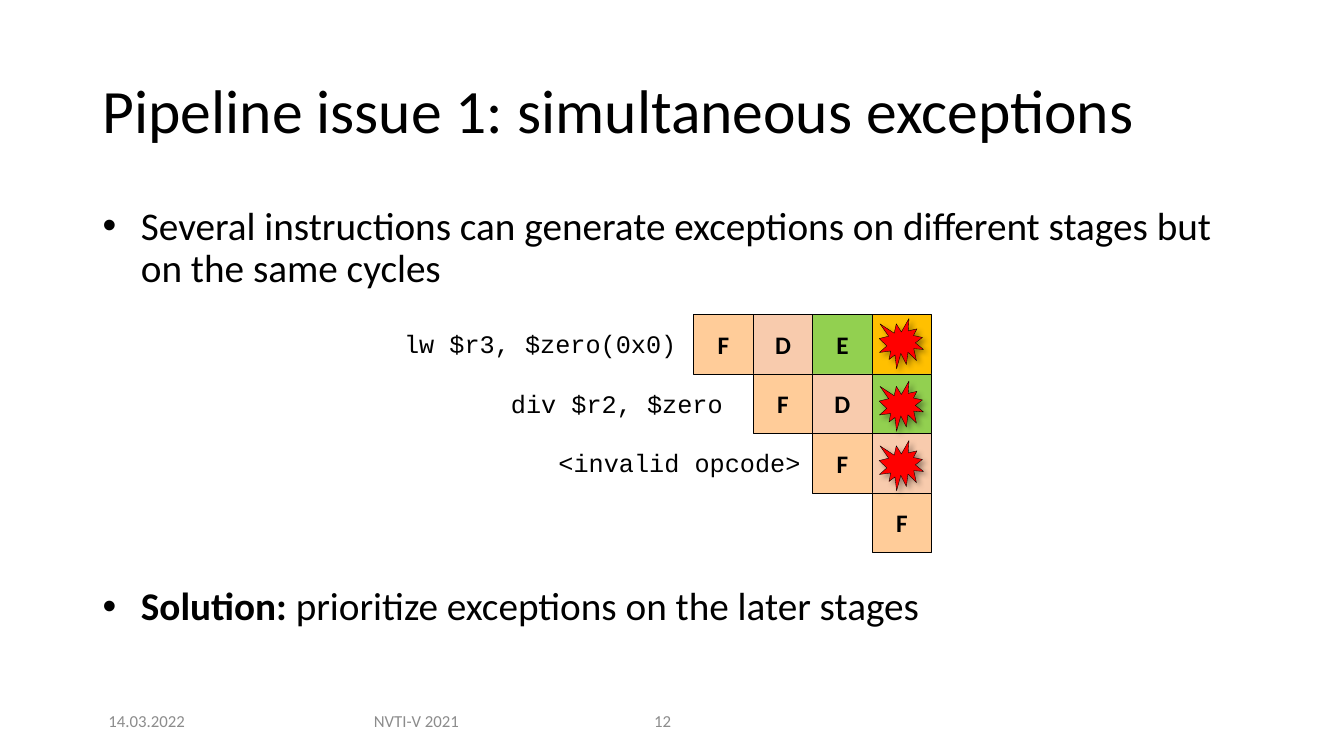
from lxml.etree import SubElement
from pptx import Presentation
from pptx.dml.color import RGBColor
from pptx.enum.shapes import MSO_SHAPE as Shape
from pptx.enum.text import MSO_ANCHOR as Anchor, PP_ALIGN as Align
from pptx.oxml.ns import qn
from pptx.util import Pt

PX = 9144
COLORS = {
    "text": "000000",
    "footer": "8C8C8C",
    "F": "FFCC99",
    "D": "F8CBAD",
    "E": "92D050",
    "M": "FFC000",
    "exception": "FF0000",
}


def add_run(paragraph, text, size, font="Calibri", color="text", bold=False):
    run = paragraph.add_run()
    run.text = text
    run.font.size = Pt(size)
    run.font.name = font
    run.font.bold = bold
    run.font.color.rgb = RGBColor.from_string(COLORS[color])


def add_box(left, top, width, height, kind=None, fill=None, anchor=Anchor.MIDDLE):
    place = [length * PX for length in (left, top, width, height)]
    if kind is None:
        shape = slide.shapes.add_textbox(*place)
    else:
        shape = slide.shapes.add_shape(kind, *place)
        shape.shadow.inherit = False
        shape.fill.solid()
        shape.fill.fore_color.rgb = RGBColor.from_string(COLORS[fill])
        shape.line.color.rgb = RGBColor.from_string(COLORS["text"])
        shape.line.width = Pt(0.25)
    shape.text_frame.word_wrap = kind is None
    shape.text_frame.vertical_anchor = anchor
    return shape


presentation = Presentation()
presentation.slide_width = 1333 * PX
presentation.slide_height = 750 * PX
slide = presentation.slides.add_slide(presentation.slide_layouts[6])

title = add_box(92, 40, 1150, 145).text_frame.paragraphs[0]
title.line_spacing = 0.9
add_run(title, "Pipeline issue 1: simultaneous exceptions", 44)

body = add_box(92, 200, 1150, 452, anchor=Anchor.TOP).text_frame
issue = body.paragraphs[0]
add_run(issue, "Several instructions can generate exceptions on different stages "
        "but on the same cycles", 28)
solution = body.add_paragraph()
solution.space_before = Pt(211)
add_run(solution, "Solution: ", 28, bold=True)
add_run(solution, "prioritize exceptions on the later stages", 28)
for paragraph in body.paragraphs:
    paragraph.line_spacing = 0.9
    properties = paragraph._p.get_or_add_pPr()
    properties.set("marL", str(38 * PX))
    properties.set("indent", str(-38 * PX))
    SubElement(properties, qn("a:buFont"), typeface="Arial")
    SubElement(properties, qn("a:buChar"), char="•")

STAGES = "FDEM"
CELL = 59
GRID_LEFT, GRID_TOP = 688, 312
last = len(STAGES) - 1
for row in range(len(STAGES)):
    for column in range(row, len(STAGES)):
        stage = STAGES[column - row]
        cell = add_box(GRID_LEFT + column * CELL, GRID_TOP + row * CELL,
                       CELL, CELL, Shape.RECTANGLE, stage)
        if column < last or row == last:
            paragraph = cell.text_frame.paragraphs[0]
            paragraph.alignment = Align.CENTER
            add_run(paragraph, stage, 18, bold=True)

instructions = [
    ("lw $r3, $zero(0x0)", 391, 316),
    ("div $r2, $zero", 497, 378),
    ("<invalid opcode>", 544, 437),
]
for row, (instruction, left, burst_top) in enumerate(instructions):
    label = add_box(left, 321 + row * CELL, 297, 40, anchor=Anchor.TOP)
    add_run(label.text_frame.paragraphs[0], instruction, 18, "Courier New")

    burst = add_box(872, burst_top, 44, 50, Shape.EXPLOSION1, "exception")
    effects = burst._element.spPr.find(qn("a:effectLst"))
    shadow = SubElement(effects, qn("a:outerShdw"), blurRad=str(Pt(4)),
                        dist=str(Pt(3)), dir="2700000", rotWithShape="0")
    shadow_color = SubElement(shadow, qn("a:srgbClr"), val=COLORS["text"])
    SubElement(shadow_color, qn("a:alpha"), val="40000")

footers = [
    ("14.03.2022", 92, 107, Align.CENTER),
    ("NVTI-V 2021", 334, 158, Align.CENTER),
    ("12", 639, 79, Align.LEFT),
]
for text, left, width, alignment in footers:
    paragraph = add_box(left, 695, width, 40).text_frame.paragraphs[0]
    paragraph.alignment = alignment
    add_run(paragraph, text, 12, color="footer")

presentation.save("out.pptx")
